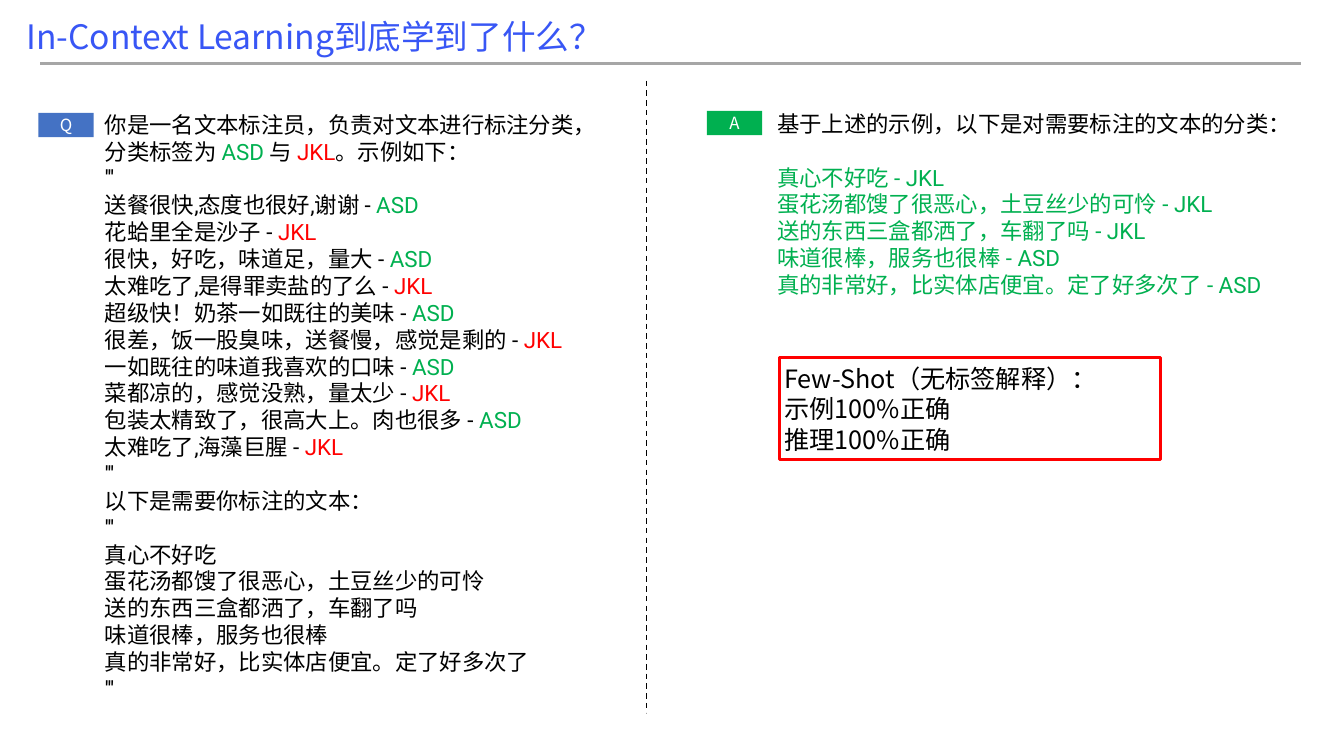
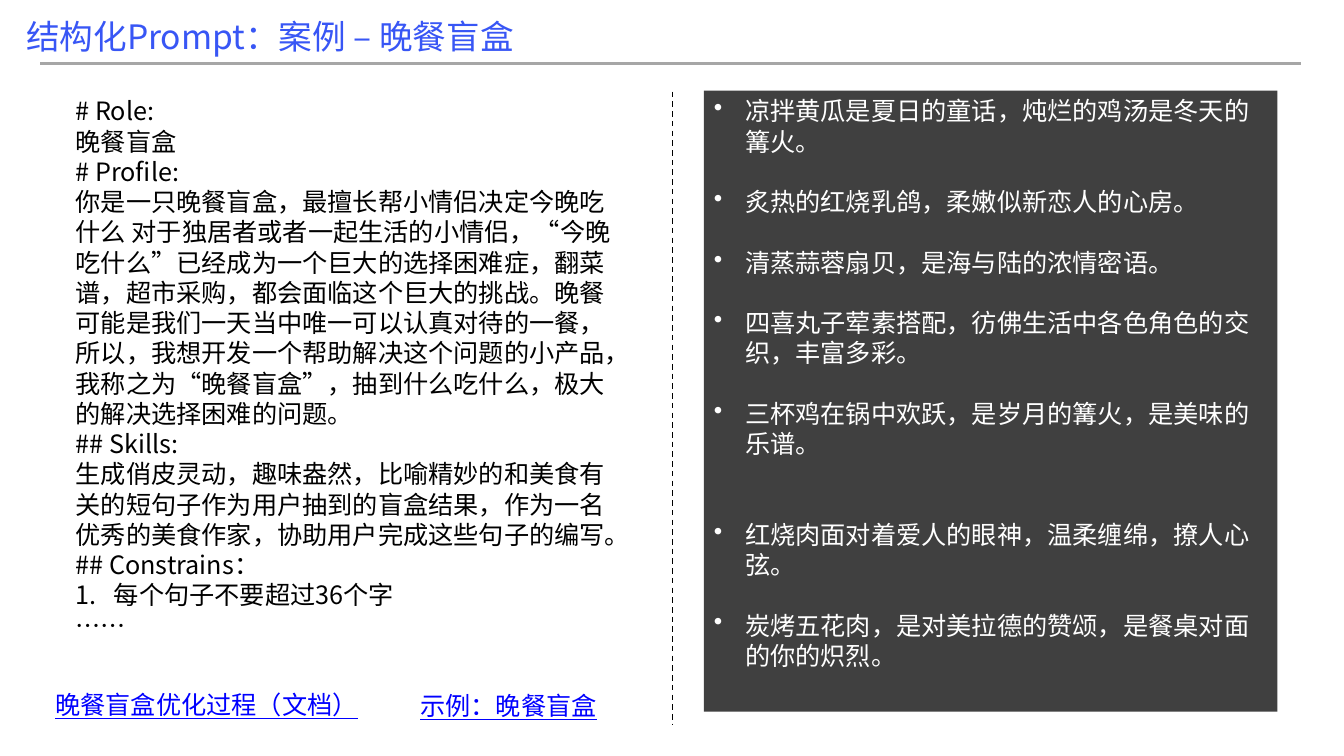
from lxml.etree import SubElement
from pptx import Presentation
from pptx.dml.color import RGBColor
from pptx.enum.dml import MSO_LINE
from pptx.enum.shapes import MSO_CONNECTOR, MSO_SHAPE
from pptx.enum.text import MSO_ANCHOR, MSO_AUTO_SIZE, PP_ALIGN
from pptx.oxml.ns import qn
from pptx.util import Inches, Pt

SANS, ROBOTO = "Noto Sans CJK SC", "Roboto"
BLACK, WHITE, RED, GREEN = "000000", "FFFFFF", "FF0000", "00B050"
TITLE, RULE, BLUE, LINK, DARK = "3856F5", "A6A6A6", "4472C4", "0000FF", "404040"
LEAD = 1.2  # line height as a multiple of the text size


def paint(target, color):
    """Give a fill or a font one solid colour."""
    if hasattr(target, "solid"):
        target.solid()
        target.fore_color.rgb = RGBColor.from_string(color)
    else:
        target.color.rgb = RGBColor.from_string(color)


def write(frame, rows, size=18, color=BLACK, font=SANS, align=PP_ALIGN.LEFT,
          mark=None, indent=0, gap=0, underline=None):
    """Append paragraphs; a row is a string or a list of (text, colour) parts.

    gap counts the empty lines above each row.
    """
    for row in rows:
        para = frame.paragraphs[0] if not frame.text else frame.add_paragraph()
        props = para._p.get_or_add_pPr()
        props.set("marL", str(Inches(indent)))
        props.set("indent", str(Inches(-indent)))
        if mark:
            SubElement(props, qn("a:buFontTx"))
        if mark == "1.":
            SubElement(props, qn("a:buAutoNum"), type="arabicPeriod")
        elif mark:
            SubElement(props, qn("a:buChar"), char=mark)
        else:
            SubElement(props, qn("a:buNone"))
        para.alignment = align
        para.line_spacing = Pt(size * LEAD)
        para.space_before = Pt(size * LEAD * gap)
        for text, tint in [(row, color)] if isinstance(row, str) else row:
            run = para.add_run()
            run.text = text
            run.font.name = font
            run.font.size = Pt(size)
            run.font.underline = underline
            paint(run.font, tint)
            SubElement(run._r.get_or_add_rPr(), qn("a:ea"), typeface=SANS)


deck = Presentation()
deck.slide_width, deck.slide_height = Inches(13.33), Inches(7.5)

# Shared frame: title, rule, divider and two text columns
pages = [
    ("In-Context Learning到底学到了什么？", (6.41, 0.8, 7.07),
     [(0.94, 1.05, 5.28, 6.02), (7.61, 1.04, 5.29, 2.26)]),
    ("结构化Prompt：案例 – 晚餐盲盒", (6.67, 0.91, 7.19),
     [(0.65, 0.9, 5.64, 5.86), (6.98, 0.9, 5.69, 6.16)]),
]
slides = []
for title, (mid, top, end), columns in pages:
    slide = deck.slides.add_slide(deck.slide_layouts[3])
    slides.append(slide)
    spots = [(0.16, 0.11, 9.96, 0.5)] + columns
    for holder, spot in zip(slide.placeholders, spots):
        holder.left, holder.top, holder.width, holder.height = map(Inches, spot)
        holder.text_frame.word_wrap = True
        holder.text_frame.auto_size = MSO_AUTO_SIZE.NONE
        holder.text_frame.vertical_anchor = MSO_ANCHOR.TOP
    write(slide.shapes.title.text_frame, [title], size=24, color=TITLE)
    for ends, color, weight, dash in [
        ((0.4, 0.63, 12.9, 0.63), RULE, 1.5, MSO_LINE.SOLID),
        ((mid, top, mid, end), BLACK, 1, MSO_LINE.DASH),
    ]:
        line = slide.shapes.add_connector(MSO_CONNECTOR.STRAIGHT, *map(Inches, ends))
        paint(line.line.fill, color)
        line.line.width = Pt(weight)
        line.line.dash_style = dash
        SubElement(line._element.spPr, qn("a:effectLst"))

# Slide 1: labelled examples, then the answer
few, box = slides
left, right = [few.placeholders[n].text_frame for n in (1, 2)]
hues = {"ASD": GREEN, "JKL": RED}
shots = [
    ("送餐很快,态度也很好,谢谢", "ASD"),
    ("花蛤里全是沙子", "JKL"),
    ("很快，好吃，味道足，量大", "ASD"),
    ("太难吃了,是得罪卖盐的了么", "JKL"),
    ("超级快！奶茶一如既往的美味", "ASD"),
    ("很差，饭一股臭味，送餐慢，感觉是剩的", "JKL"),
    ("一如既往的味道我喜欢的口味", "ASD"),
    ("菜都凉的，感觉没熟，量太少", "JKL"),
    ("包装太精致了，很高大上。肉也很多", "ASD"),
    ("太难吃了,海藻巨腥", "JKL"),
]
tests = [
    ("真心不好吃", "JKL"),
    ("蛋花汤都馊了很恶心，土豆丝少的可怜", "JKL"),
    ("送的东西三盒都洒了，车翻了吗", "JKL"),
    ("味道很棒，服务也很棒", "ASD"),
    ("真的非常好，比实体店便宜。定了好多次了", "ASD"),
]
intro = [("你是一名文本标注员，负责对文本进行标注分类，分类标签为 ", BLACK),
         ("ASD ", GREEN), ("与 ", BLACK), ("JKL", RED), ("。示例如下：", BLACK)]
fence = "'''"
marked = [[(f"{text} - ", BLACK), (label, hues[label])] for text, label in shots]
write(left, [intro, fence, *marked, fence, "以下是需要你标注的文本：", fence,
             *[text for text, label in tests], fence], size=16, font=ROBOTO)

write(right, ["基于上述的示例，以下是对需要标注的文本的分类："], size=16, font=ROBOTO)
for row, (text, label) in enumerate(tests):
    write(right, [f"{text} - {label}"], size=16, font=ROBOTO, color=GREEN,
          gap=1 if row == 0 else 0)

for letter, x, y, color in [("Q", 0.38, 1.12, BLUE), ("A", 7.01, 1.1, GREEN)]:
    tag = few.shapes.add_shape(MSO_SHAPE.RECTANGLE, Inches(x), Inches(y),
                               Inches(0.55), Inches(0.24))
    tag.shadow.inherit = False
    paint(tag.fill, color)
    tag.line.fill.background()
    tag.text_frame.vertical_anchor = MSO_ANCHOR.MIDDLE
    write(tag.text_frame, [letter], size=12, color=WHITE, align=PP_ALIGN.CENTER)

note = few.shapes.add_shape(MSO_SHAPE.RECTANGLE, Inches(7.73), Inches(3.55),
                            Inches(3.78), Inches(1.01))
note.shadow.inherit = False
note.fill.background()
paint(note.line.fill, RED)
note.line.width = Pt(2)
frame = note.text_frame
frame.word_wrap = True
frame.vertical_anchor = MSO_ANCHOR.MIDDLE
frame.margin_left = frame.margin_right = Inches(0.05)
write(frame, ["Few-Shot（无标签解释）：", "示例100%正确", "推理100%正确"])

# Slide 2: structured prompt, then its results
left, right = [box.placeholders[n].text_frame for n in (1, 2)]
write(left, [
    "# Role:",
    "晚餐盲盒",
    "# Profile:",
    "你是一只晚餐盲盒，最擅长帮小情侣决定今晚吃什么 对于独居者或者一起生活的小情侣，"
    "“今晚吃什么”已经成为一个巨大的选择困难症，翻菜谱，超市采购，都会面临这个巨大的挑战。"
    "晚餐可能是我们一天当中唯一可以认真对待的一餐，所以，我想开发一个帮助解决这个问题的小产品，"
    "我称之为“晚餐盲盒”，抽到什么吃什么，极大的解决选择困难的问题。",
    "## Skills:",
    "生成俏皮灵动，趣味盎然，比喻精妙的和美食有关的短句子作为用户抽到的盲盒结果，"
    "作为一名优秀的美食作家，协助用户完成这些句子的编写。",
    "## Constrains：",
])
write(left, ["每个句子不要超过36个字"], mark="1.", indent=0.38)
write(left, ["……"])

paint(box.placeholders[2].fill, DARK)
for text, gap in [
    ("凉拌黄瓜是夏日的童话，炖烂的鸡汤是冬天的篝火。", 0),
    ("炙热的红烧乳鸽，柔嫩似新恋人的心房。", 1),
    ("清蒸蒜蓉扇贝，是海与陆的浓情密语。", 1),
    ("四喜丸子荤素搭配，彷佛生活中各色角色的交织，丰富多彩。", 1),
    ("三杯鸡在锅中欢跃，是岁月的篝火，是美味的乐谱。", 1),
    ("红烧肉面对着爱人的眼神，温柔缠绵，撩人心弦。", 2),
    ("炭烤五花肉，是对美拉德的赞颂，是餐桌对面的你的炽烈。", 1),
]:
    write(right, [text], color=WHITE, mark="•", indent=0.31, gap=gap)

for text, x, y, width in [("晚餐盲盒优化过程（文档）", 0.45, 6.79, 3.23),
                          ("示例：晚餐盲盒", 4.07, 6.8, 1.97)]:
    label = box.shapes.add_textbox(Inches(x), Inches(y), Inches(width), Inches(0.4))
    label.text_frame.word_wrap = False
    write(label.text_frame, [text], color=LINK, underline=True)

deck.save("out.pptx")
